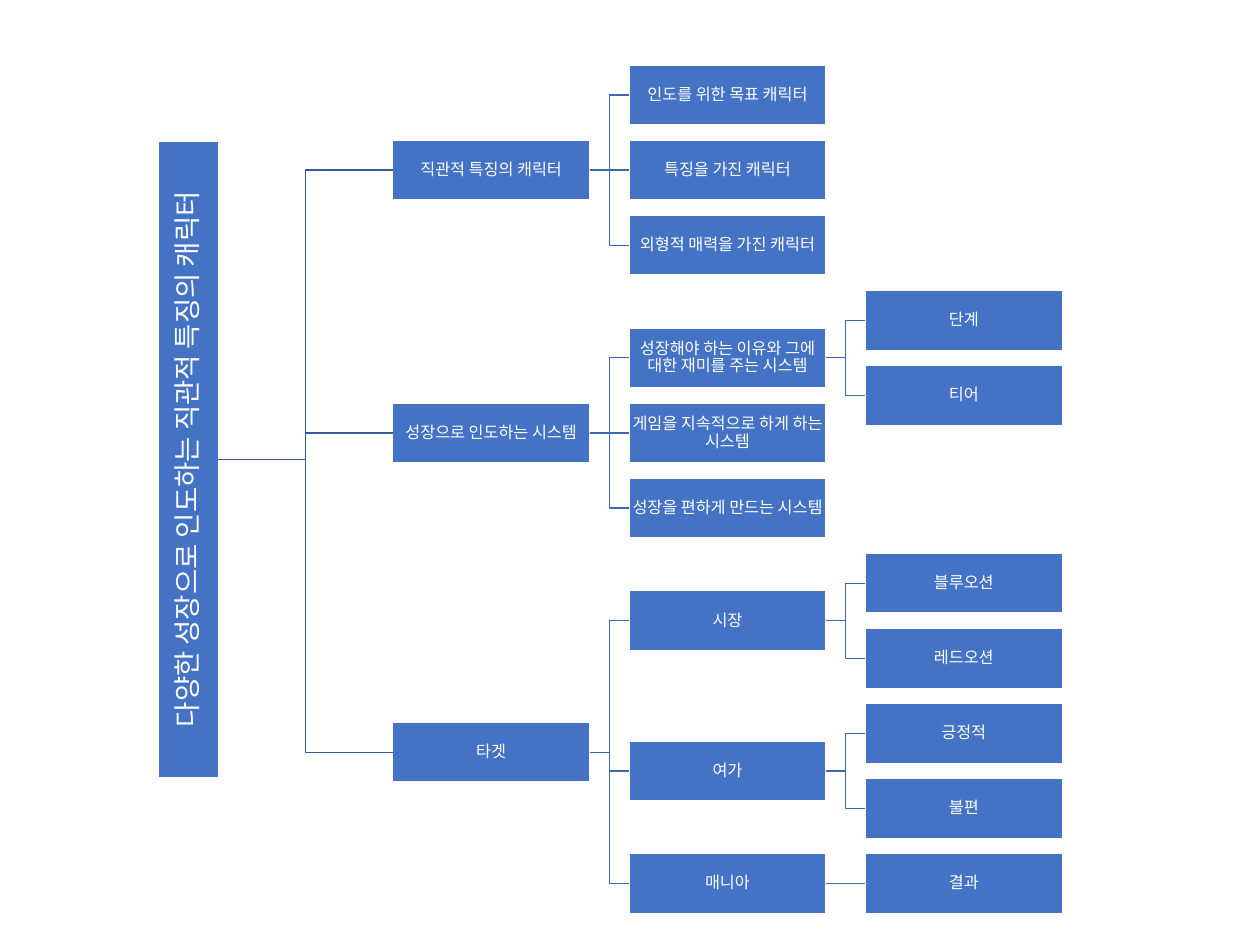
from dataclasses import dataclass, field

from lxml.etree import SubElement
from pptx import Presentation
from pptx.dml.color import RGBColor
from pptx.enum.shapes import MSO_CONNECTOR as CONN, MSO_SHAPE as SHAPE
from pptx.enum.text import MSO_ANCHOR as ANCHOR, PP_ALIGN as ALIGN
from pptx.oxml.ns import qn
from pptx.shapes.autoshape import Shape
from pptx.util import Cm, Pt

BLUE = RGBColor(0x44, 0x72, 0xC4)
ROOT_LINE = RGBColor(0x36, 0x5B, 0x9D)
BRANCH_LINE = RGBColor(0x3E, 0x67, 0xB2)
WHITE = RGBColor(0xFF, 0xFF, 0xFF)

# Lengths in centimetres
BOX_W, BOX_H = 5.56, 1.69
FIRST_LEFT, COLUMN_STEP = 11.08, 6.67
FIRST_Y, ROW_STEP = 2.68, 2.12
ROOT_LENGTH, ROOT_X, ROOT_Y = 17.96, 5.32, 12.96
RIGHT, LEFT = 3, 1


@dataclass
class Node:
    text: str
    children: list["Node"] = field(default_factory=list)
    y: float = 0


BRANCHES = [
    Node("직관적 특징의 캐릭터", [
        Node("인도를 위한 목표 캐릭터"),
        Node("특징을 가진 캐릭터"),
        Node("외형적 매력을 가진 캐릭터"),
    ]),
    Node("성장으로 인도하는 시스템", [
        Node("성장해야 하는 이유와 그에 대한 재미를 주는 시스템",
             [Node("단계"), Node("티어")]),
        Node("게임을 지속적으로 하게 하는 시스템"),
        Node("성장을 편하게 만드는 시스템"),
    ]),
    Node("타겟", [
        Node("시장", [Node("블루오션"), Node("레드오션")]),
        Node("여가", [Node("긍정적"), Node("불편")]),
        Node("매니아", [Node("결과")]),
    ]),
]


def place(node: Node, depth: int, lowest: list[float]) -> None:
    """Centre a parent on its children; put a leaf one row under all nodes
    already placed in its own column or in those to the left."""
    for child in node.children:
        place(child, depth + 1, lowest)
    if node.children:
        node.y = (node.children[0].y + node.children[-1].y) / 2
    else:
        node.y = max(lowest[:depth + 1]) + ROW_STEP
    lowest[depth] = node.y


def add_box(shapes, text: str, x: float, y: float, w: float, h: float,
            size: float, inset: float) -> Shape:
    """Add a box centred on (x, y)."""
    sp = shapes.add_shape(SHAPE.RECTANGLE, Cm(x - w / 2), Cm(y - h / 2), Cm(w), Cm(h))
    sp.shadow.inherit = False
    sp.fill.solid()
    sp.fill.fore_color.rgb = BLUE
    sp.line.color.rgb = WHITE
    sp.line.width = Pt(1)
    tf = sp.text_frame
    tf.word_wrap = True
    tf.vertical_anchor = ANCHOR.MIDDLE
    tf.margin_left = tf.margin_right = tf.margin_top = tf.margin_bottom = Cm(inset)
    tf.text = text
    p = tf.paragraphs[0]
    p.alignment = ALIGN.CENTER
    p.line_spacing = 0.9
    font = p.runs[0].font
    font.name = "Calibri"
    font.size = Pt(size)
    font.color.rgb = WHITE
    return sp


def add_link(shapes, x1: float, y1: float, x2: float, y2: float, color: RGBColor):
    kind = CONN.STRAIGHT if abs(y1 - y2) < 0.01 else CONN.ELBOW
    link = shapes.add_connector(kind, Cm(x1), Cm(y1), Cm(x2), Cm(y2))
    link.line.color.rgb = color
    link.line.width = Pt(1)
    SubElement(link._element.spPr, qn("a:effectLst"))
    return link


def draw(shapes, node: Node, depth: int) -> Shape:
    """Draw a node and everything to the right of it."""
    left = FIRST_LEFT + depth * COLUMN_STEP
    box = add_box(shapes, node.text, left + BOX_W / 2, node.y, BOX_W, BOX_H, 13, 0.03)
    for child in node.children:
        child_box = draw(shapes, child, depth + 1)
        link = add_link(shapes, left + BOX_W, node.y, left + COLUMN_STEP, child.y,
                        BRANCH_LINE)
        link.begin_connect(box, RIGHT)
        link.end_connect(child_box, LEFT)
    return box


def main() -> None:
    prs = Presentation()
    prs.slide_width, prs.slide_height = Cm(35.56), Cm(26.67)
    shapes = prs.slides.add_slide(prs.slide_layouts[6]).shapes

    root = add_box(shapes, "다양한 성장으로 인도하는 직관적 특징의 캐릭터",
                   ROOT_X, ROOT_Y, ROOT_LENGTH, BOX_H, 22, 0.05)
    root.rotation = 270

    lowest = [FIRST_Y - ROW_STEP] * 3
    for branch in BRANCHES:
        place(branch, 0, lowest)
        box = draw(shapes, branch, 0)
        link = add_link(shapes, ROOT_X + BOX_H / 2, ROOT_Y, FIRST_LEFT, branch.y, ROOT_LINE)
        link.end_connect(box, LEFT)

    prs.save("out.pptx")


if __name__ == "__main__":
    main()
